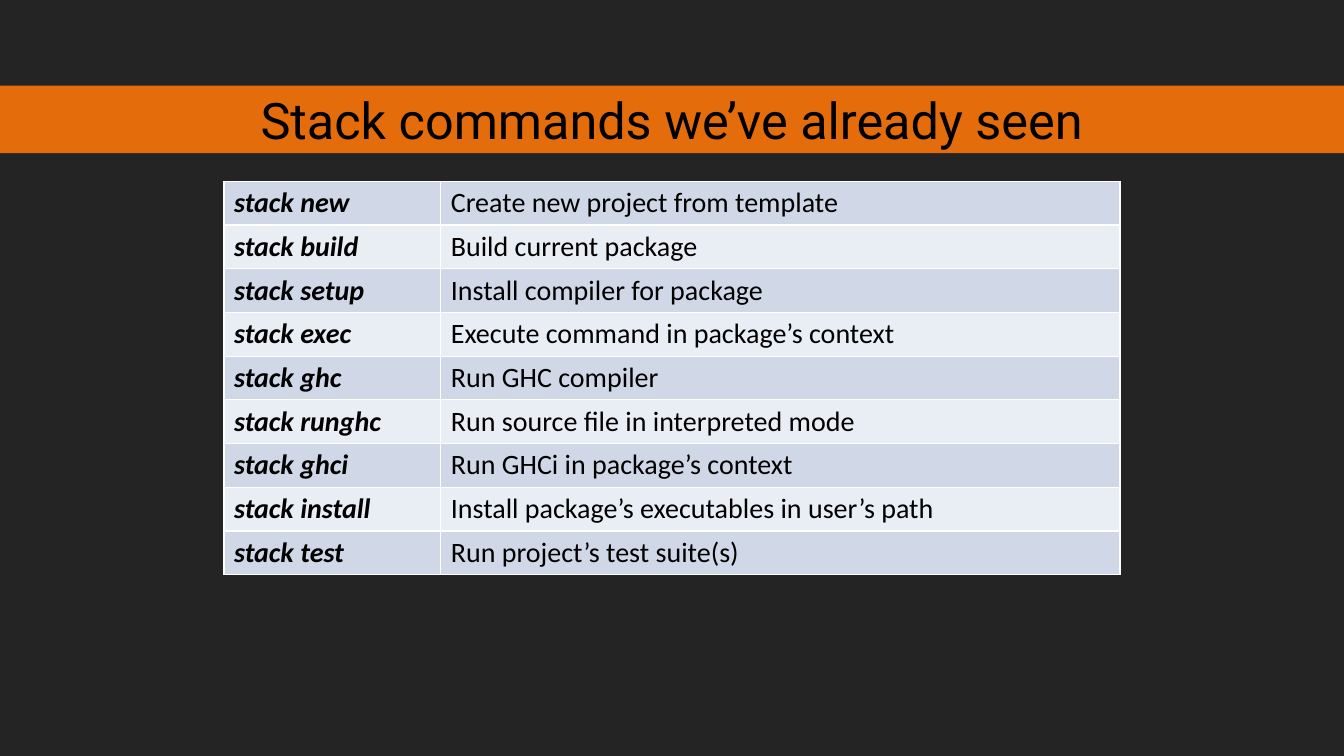
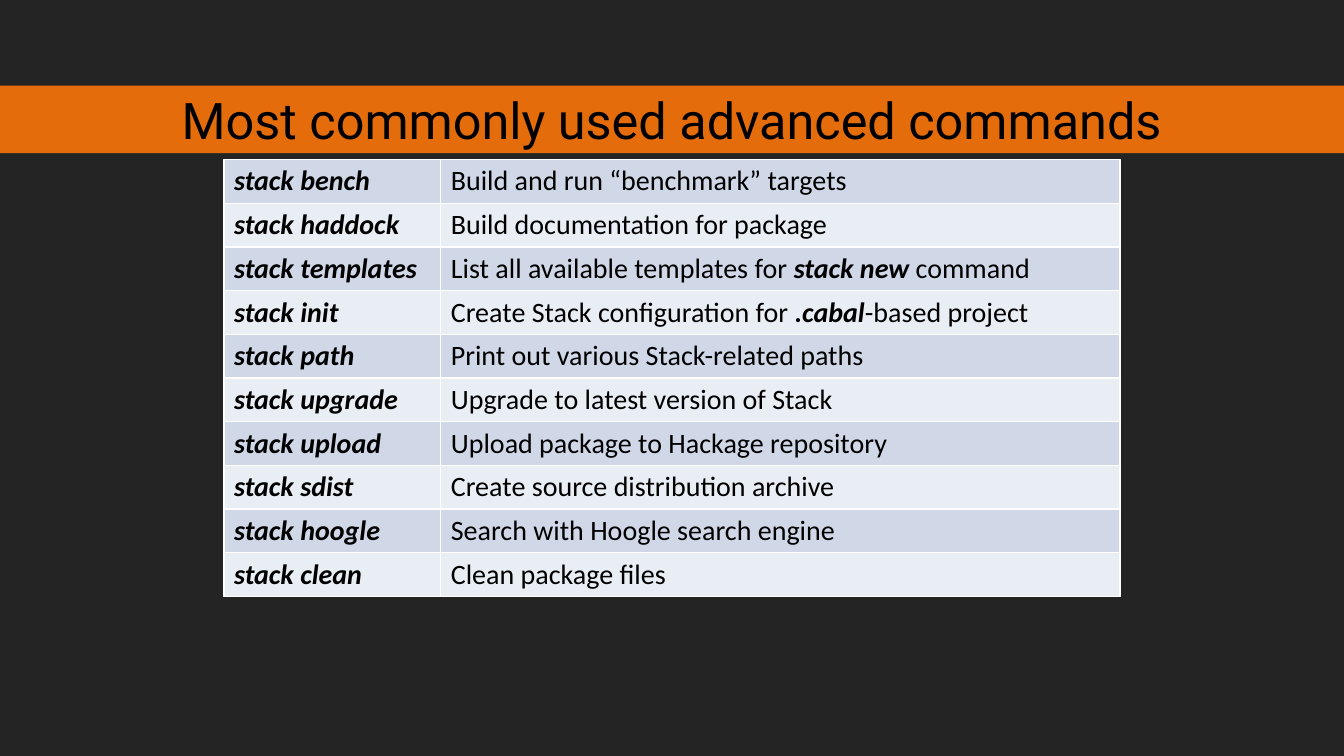
"""Build two slides listing Stack commands in banded tables."""
from dataclasses import dataclass

from lxml.etree import SubElement
from pptx import Presentation
from pptx.dml.color import RGBColor
from pptx.enum.shapes import MSO_SHAPE
from pptx.enum.text import MSO_ANCHOR, PP_ALIGN
from pptx.oxml.ns import qn
from pptx.util import Inches, Pt


@dataclass(frozen=True)
class Theme:
    """Colours, fonts and type sizes shared by the slides."""
    back: str = "252424"
    band: str = "E46C0A"
    rows: tuple = ("D0D8E8", "E9EDF4")
    rule: str = "FFFFFF"
    ink: str = "000000"
    title_font: str = "Roboto"
    body_font: str = "Calibri"
    title_size: int = 36
    body_size: int = 20


T = Theme()

SLIDES = [
    ("Stack commands we’ve already seen", [
        ("stack new", "Create new project from template"),
        ("stack build", "Build current package"),
        ("stack setup", "Install compiler for package"),
        ("stack exec", "Execute command in package’s context"),
        ("stack ghc", "Run GHC compiler"),
        ("stack runghc", "Run source file in interpreted mode"),
        ("stack ghci", "Run GHCi in package’s context"),
        ("stack install", "Install package’s executables in user’s path"),
        ("stack test", "Run project’s test suite(s)"),
    ]),
    ("Most commonly used advanced commands", [
        ("stack bench", "Build and run “benchmark” targets"),
        ("stack haddock", "Build documentation for package"),
        ("stack templates", "List all available templates for *stack new* command"),
        ("stack init", "Create Stack configuration for *.cabal*-based project"),
        ("stack path", "Print out various Stack-related paths"),
        ("stack upgrade", "Upgrade to latest version of Stack"),
        ("stack upload", "Upload package to Hackage repository"),
        ("stack sdist", "Create source distribution archive"),
        ("stack hoogle", "Search with Hoogle search engine"),
        ("stack clean", "Clean package files"),
    ]),
]


def write(tf, text, *, font, size, align=PP_ALIGN.LEFT):
    """Write text into a frame, with parts between asterisks in bold italic."""
    p = tf.paragraphs[0]
    p.alignment = align
    for i, part in enumerate(text.split("*")):
        if part:
            r = p.add_run()
            r.text = part
            r.font.name, r.font.size = font, Pt(size)
            r.font.bold = r.font.italic = i % 2 == 1
            r.font.color.rgb = RGBColor.from_string(T.ink)


def paint(fill, colour):
    """Give a fill one solid colour."""
    fill.solid()
    fill.fore_color.rgb = RGBColor.from_string(colour)


prs = Presentation()
prs.slide_width, prs.slide_height = Inches(13.33), Inches(7.5)
W, H = prs.slide_width, prs.slide_height
BAND_TOP, BAND_HEIGHT = int(H * 0.1133), int(H * 0.0893)
TABLE_WIDTH, ROW_HEIGHT = W * 2 // 3, int(H * 0.0578)
NAME_WIDTH = int(W * 0.1613)

for title, commands in SLIDES:
    s = prs.slides.add_slide(prs.slide_layouts[6])
    paint(s.background.fill, T.back)

    sp = s.shapes.add_shape(MSO_SHAPE.RECTANGLE, 0, BAND_TOP, W, BAND_HEIGHT)
    sp.shadow.inherit = False
    sp.line.fill.background()
    paint(sp.fill, T.band)
    tf = sp.text_frame
    tf.word_wrap = True
    tf.vertical_anchor = MSO_ANCHOR.MIDDLE
    tf.margin_left = tf.margin_right = Inches(0.07)
    tf.margin_top = tf.margin_bottom = Inches(0.03)
    write(tf, title, font=T.title_font, size=T.title_size, align=PP_ALIGN.CENTER)

    height = ROW_HEIGHT * len(commands)
    table = s.shapes.add_table(len(commands), 2, (W - TABLE_WIDTH) // 2,
                               (H - height) // 2, TABLE_WIDTH, height).table
    table.first_row = table.horz_banding = False
    table.columns[0].width = NAME_WIDTH
    table.columns[1].width = TABLE_WIDTH - NAME_WIDTH
    for i, (name, meaning) in enumerate(commands):
        table.rows[i].height = ROW_HEIGHT
        for cell, text in zip(table.rows[i].cells, (f"*{name}*", meaning)):
            cell.vertical_anchor = MSO_ANCHOR.MIDDLE
            cell.margin_top = cell.margin_bottom = Inches(0.04)
            write(cell.text_frame, text, font=T.body_font, size=T.body_size)
            tc_pr = cell._tc.get_or_add_tcPr()
            for side in ("a:lnL", "a:lnR", "a:lnT", "a:lnB"):
                ln = SubElement(tc_pr, qn(side), w=str(Pt(1)))
                SubElement(SubElement(ln, qn("a:solidFill")),
                           qn("a:srgbClr"), val=T.rule)
            paint(cell.fill, T.rows[i % 2])

prs.save("out.pptx")
